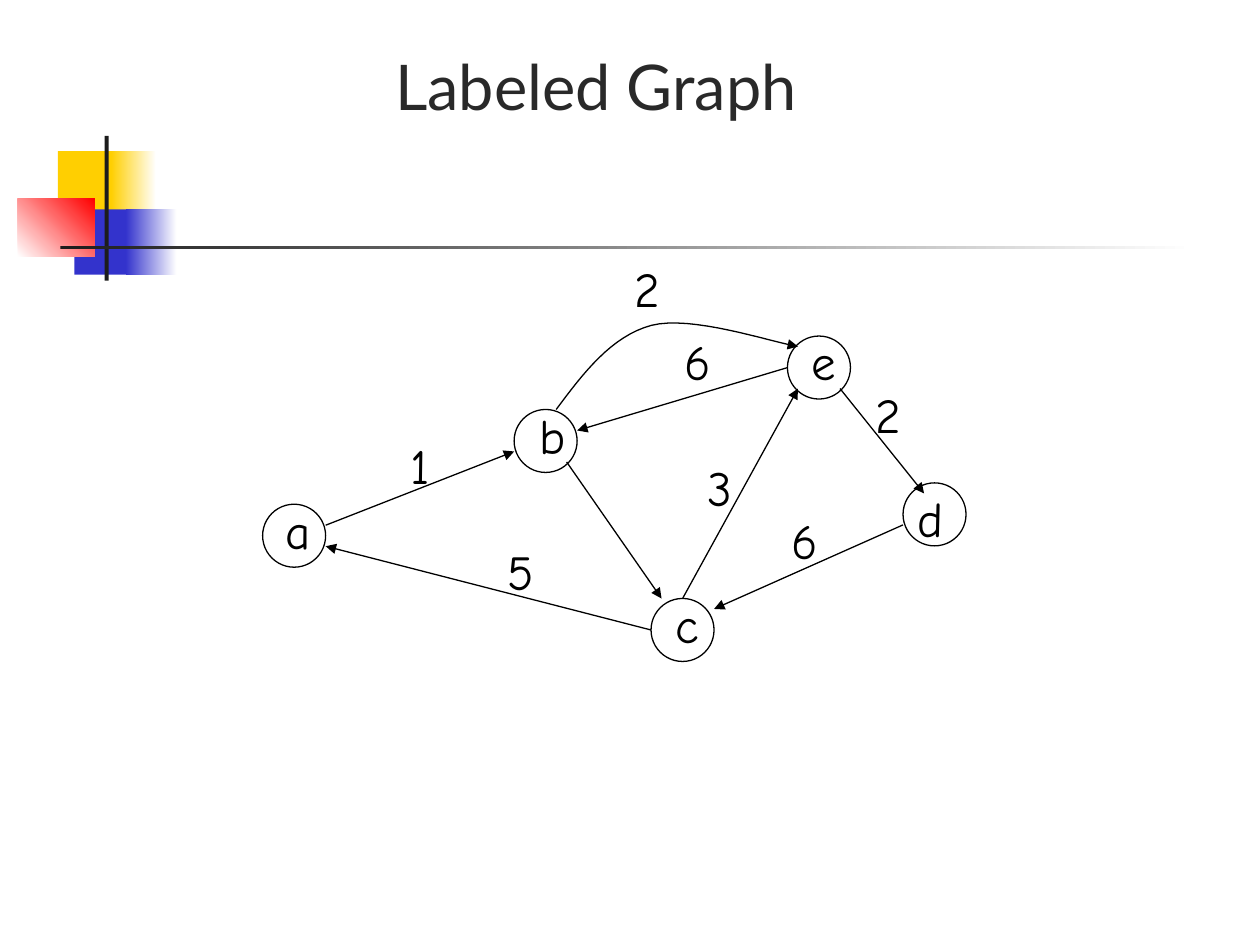
from lxml import etree
from pptx import Presentation
from pptx import util as u
from pptx.dml.color import RGBColor
from pptx.enum import shapes, text
from pptx.oxml import ns

BLACK = RGBColor(0x00, 0x00, 0x00)
WHITE = RGBColor(0xFF, 0xFF, 0xFF)
TITLE = RGBColor(0x29, 0x29, 0x29)
BAR = RGBColor(0x1C, 0x1C, 0x1C)
YELLOW = RGBColor(0xFF, 0xCF, 0x01)
BLUE = RGBColor(0x33, 0x33, 0xCC)
RED = RGBColor(0xFF, 0x00, 0x00)
RADIUS = 0.635

BLOCKS = [
    (1.17, 3.05, 1.22, 1.32, (YELLOW,), 0),
    (2.24, 3.05, 0.91, 1.32, (YELLOW, WHITE), 0),
    (1.5, 4.22, 1.17, 1.32, (BLUE,), 0),
    (2.54, 4.22, 1.02, 1.32, (BLUE, WHITE), 0),
    (0.36, 4.01, 1.55, 1.17, (WHITE, RED), 45),
    (2.11, 2.74, 0.08, 2.92, (BAR,), 0),
    (1.22, 4.95, 22.86, 0.08, (BAR, WHITE), 0),
]
NODES = {
    "a": (5.93, 10.8),
    "b": (11, 8.89),
    "c": (13.76, 12.7),
    "d": (18.84, 10.37),
    "e": (16.51, 7.41),
}
EDGES = [
    ("a", (3, -1), "b", (-3, 1)),
    ("b", (2, 2), "c", (-2, -3)),
    ("c", (0, -3), "e", (-2, 2)),
    ("d", (-3, 1), "c", (3, -2)),
    ("c", (-3, 0), "a", (3, 1)),
    ("e", (2, 2), "d", (-1, -2)),
    ("e", (-3, 0), "b", (3, -1)),
]
LABELS = [
    ("a", 5.51, 9.96, 1.02),
    ("b", 10.62, 8.05, 1.04),
    ("c", 13.36, 11.86, 0.97),
    ("d", 18.24, 9.73, 1.02),
    ("e", 16.1, 6.55, 0.99),
    ("1", 8.03, 8.66, 0.89),
    ("3", 14.02, 9.09, 0.99),
    ("5", 9.98, 10.8, 1.04),
    ("6", 15.7, 10.16, 1.04),
    ("2", 17.4, 7.62, 1.02),
    ("6", 13.54, 6.55, 1.04),
    ("2", 12.55, 5.08, 1.02),
]


def write(tf, content, font="Comic Neue", size=28, color=BLACK):
    p = tf.paragraphs[0]
    r = p.add_run()
    r.text = content
    r.font.name = font
    r.font.size = u.Pt(size)
    r.font.color.rgb = color


def port(node, thirds):
    return tuple(c + t * RADIUS / 3 for c, t in zip(NODES[node], thirds))


def bezier(p0, p1, p2, p3, steps=16):
    for i in range(1, steps + 1):
        t = i / steps
        weights = ((1 - t) ** 3, 3 * t * (1 - t) ** 2, 3 * t * t * (1 - t), t ** 3)
        yield tuple(
            sum(w * c for w, c in zip(weights, axis))
            for axis in zip(p0, p1, p2, p3)
        )


class Canvas:
    line_color = BLACK
    line_width = u.Pt(0.75)

    def __init__(self, s):
        self.s = s

    def outline(self, sp, arrow=False):
        sp.line.color.rgb = self.line_color
        sp.line.width = self.line_width
        if arrow:
            ln = sp.line._get_or_add_ln()
            etree.SubElement(ln, ns.qn("a:tailEnd"), type="triangle")

    def block(self, x, y, w, h, colors, angle):
        sp = self.s.shapes.add_shape(
            shapes.MSO_SHAPE.RECTANGLE, u.Cm(x), u.Cm(y), u.Cm(w), u.Cm(h))
        sp.shadow.inherit = False
        sp.line.fill.background()
        if len(colors) == 1:
            sp.fill.solid()
            sp.fill.fore_color.rgb = colors[0]
            return
        sp.fill.gradient()
        sp.fill.gradient_angle = angle
        for stop, color in zip(sp.fill.gradient_stops, colors):
            stop.color.rgb = color

    def label(self, content, x, y, w, h=1.45, **fmt):
        sp = self.s.shapes.add_textbox(u.Cm(x), u.Cm(y), u.Cm(w), u.Cm(h))
        tf = sp.text_frame
        tf.word_wrap = False
        tf.auto_size = text.MSO_AUTO_SIZE.SHAPE_TO_FIT_TEXT
        write(tf, content, **fmt)

    def node(self, cx, cy):
        size = u.Cm(2 * RADIUS)
        sp = self.s.shapes.add_shape(
            shapes.MSO_SHAPE.OVAL, u.Cm(cx - RADIUS), u.Cm(cy - RADIUS), size, size)
        sp.shadow.inherit = False
        sp.fill.background()
        self.outline(sp)

    def arrow(self, start, end):
        sp = self.s.shapes.add_connector(
            shapes.MSO_CONNECTOR.STRAIGHT, *map(u.Cm, start + end))
        self.outline(sp, arrow=True)
        etree.SubElement(sp._element.spPr, ns.qn("a:effectLst"))

    def curve(self, start, *segments):
        points = []
        first = start
        for c1, c2, end in segments:
            points += bezier(first, c1, c2, end)
            first = end
        fb = self.s.shapes.build_freeform(*map(u.Cm, start))
        fb.add_line_segments([tuple(map(u.Cm, pt)) for pt in points], close=False)
        sp = fb.convert_to_shape()
        sp.shadow.inherit = False
        sp.fill.background()
        self.outline(sp, arrow=True)


def main():
    prs = Presentation()
    prs.slide_width = u.Cm(25.4)
    prs.slide_height = u.Cm(19.05)
    canvas = Canvas(prs.slides.add_slide(prs.slide_layouts[6]))

    for block in BLOCKS:
        canvas.block(*block)
    canvas.label("Labeled Graph", 7.72, 0.84, 9.27, 1.78,
                 font="Lato", size=36, color=TITLE)
    for center in NODES.values():
        canvas.node(*center)
    for source, out, target, into in EDGES:
        canvas.arrow(port(source, out), port(target, into))
    crest = (13.13, 6.56)
    canvas.curve(
        port("b", (1, -3)),
        ((11.76, 7.52), (12.32, 6.78), crest),
        ((13.94, 6.35), (15.49, 6.88), port("e", (-2, -2))),
    )
    for label in LABELS:
        canvas.label(*label)

    prs.save("out.pptx")


if __name__ == "__main__":
    main()
